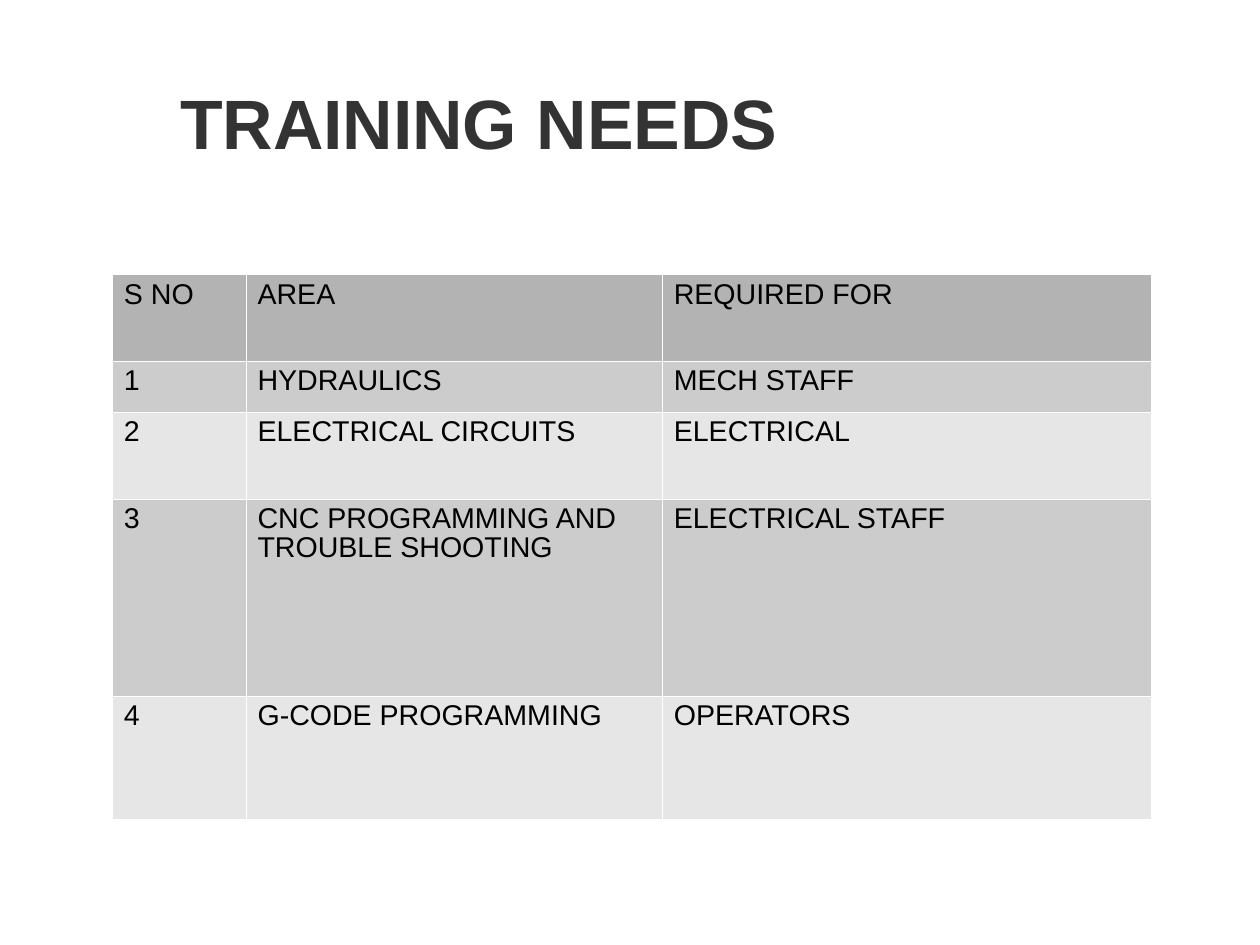
from pptx import Presentation
from pptx.dml.color import RGBColor
from pptx.enum.text import MSO_ANCHOR, MSO_AUTO_SIZE, PP_ALIGN
from pptx.oxml import parse_xml
from pptx.oxml.ns import nsdecls
from pptx.util import Cm, Pt

COLORS = {
    "title": "333333",
    "text": "000000",
    "header": "B3B3B3",
    "odd": "CCCCCC",
    "even": "E6E6E6",
    "border": "FFFFFF",
}
FONT = "Arial"
LINE_SPACING = 0.93
COLUMN_WIDTHS = [2.97, 9.25, 10.87]
ROW_HEIGHTS = [1.93, 1.12, 1.93, 4.39, 2.74]
TRAINING_ROWS = [
    ["S NO", "AREA", "REQUIRED FOR"],
    ["1", "HYDRAULICS", "MECH STAFF"],
    ["2", "ELECTRICAL CIRCUITS", "ELECTRICAL"],
    ["3", "CNC PROGRAMMING AND TROUBLE SHOOTING", "ELECTRICAL STAFF"],
    ["4", "G-CODE PROGRAMMING", "OPERATORS"],
]


def color(name):
    return RGBColor.from_string(COLORS[name])


def write_text(frame, text, size, color_name, bold=False):
    para = frame.paragraphs[0]
    para.alignment = PP_ALIGN.LEFT
    para.line_spacing = LINE_SPACING
    span = para.add_run()
    span.text = text
    span.font.name = FONT
    span.font.size = Pt(size)
    span.font.bold = bold
    span.font.color.rgb = color(color_name)


def add_borders(cell):
    properties = cell._tc.get_or_add_tcPr()
    for side in ("lnL", "lnR", "lnT", "lnB"):
        properties.append(parse_xml(
            f'<a:{side} {nsdecls("a")} w="{Pt(0.06)}"><a:solidFill>'
            f'<a:srgbClr val="{COLORS["border"]}"/></a:solidFill></a:{side}>'
        ))


def place_title(page, left, top, width, height):
    title = page.shapes.title
    title.left, title.top = Cm(left), Cm(top)
    title.width, title.height = Cm(width), Cm(height)
    frame = title.text_frame
    frame.word_wrap = True
    frame.auto_size = MSO_AUTO_SIZE.NONE
    frame.vertical_anchor = MSO_ANCHOR.MIDDLE
    frame.margin_left = frame.margin_right = frame.margin_bottom = 0
    frame.margin_top = Cm(0.1)
    write_text(frame, "TRAINING NEEDS", 44, "title", bold=True)


def fill_name(row_index):
    if row_index == 0:
        return "header"
    return "odd" if row_index % 2 else "even"


def place_training_table(page, left, top):
    table = page.shapes.add_table(
        len(ROW_HEIGHTS), len(COLUMN_WIDTHS), Cm(left), Cm(top),
        Cm(sum(COLUMN_WIDTHS)), Cm(sum(ROW_HEIGHTS)),
    ).table
    for column, width in zip(table.columns, COLUMN_WIDTHS):
        column.width = Cm(width)
    for row_index, height in enumerate(ROW_HEIGHTS):
        table.rows[row_index].height = Cm(height)
        for column_index, text in enumerate(TRAINING_ROWS[row_index]):
            cell = table.cell(row_index, column_index)
            add_borders(cell)
            cell.fill.solid()
            cell.fill.fore_color.rgb = color(fill_name(row_index))
            write_text(cell.text_frame, text, 18, "text")


def main():
    deck = Presentation()
    deck.slide_width, deck.slide_height = Cm(28), Cm(21)
    page = deck.slides.add_slide(deck.slide_layouts[5])
    place_title(page, 4, 1.02, 24, 3.48)
    place_training_table(page, 2.5, 6.1)
    deck.save("out.pptx")


if __name__ == "__main__":
    main()
